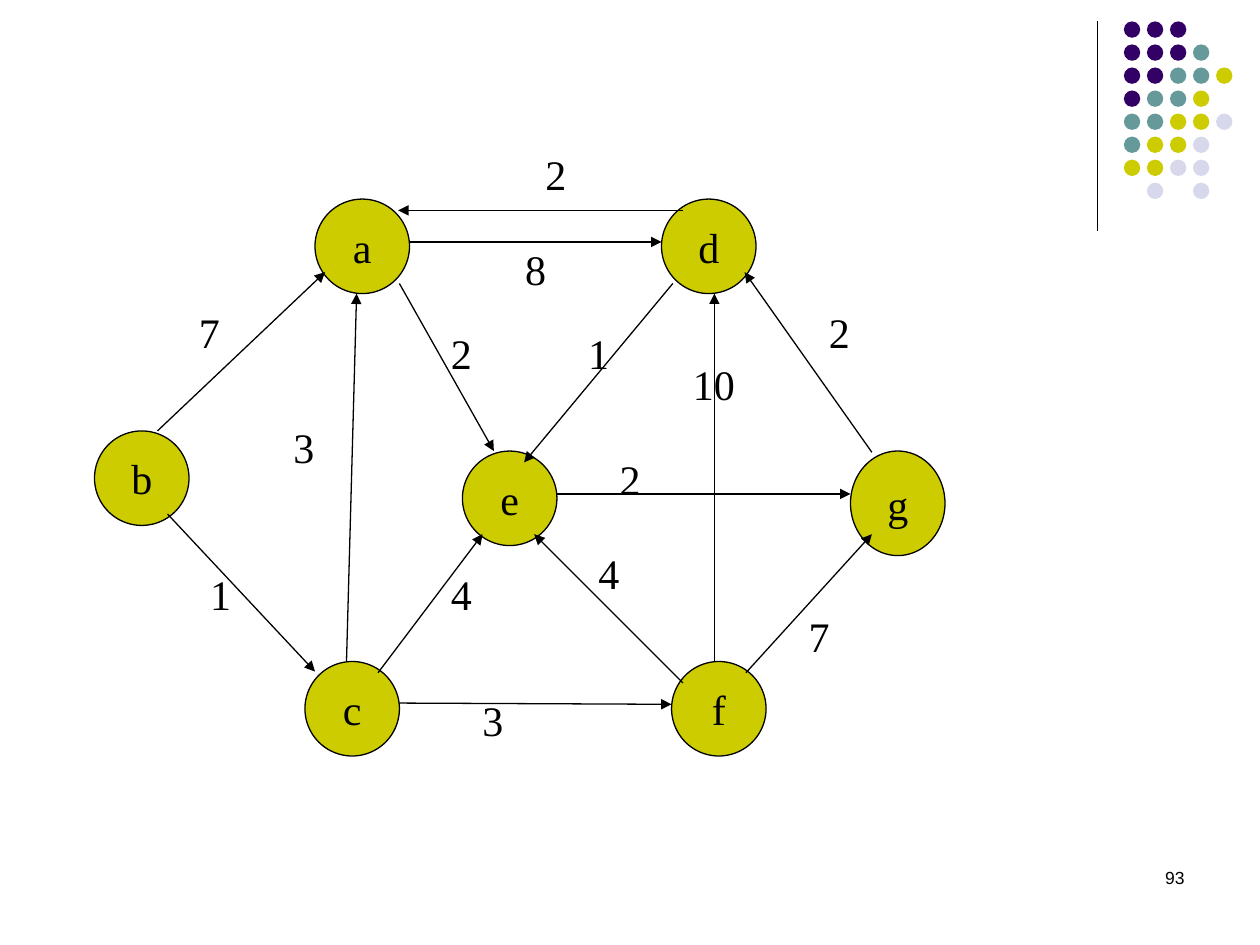
from dataclasses import dataclass

from lxml.etree import SubElement
from pptx import Presentation
from pptx.dml.color import RGBColor
from pptx.enum.shapes import MSO_CONNECTOR, MSO_SHAPE
from pptx.enum.text import MSO_ANCHOR, MSO_AUTO_SIZE, PP_ALIGN
from pptx.oxml.ns import qn
from pptx.util import Inches, Pt

COLORS = {
    "ink": "000000",
    "paper": "FFFFFF",
    "P": "330066",
    "T": "669999",
    "Y": "CCCC00",
    "L": "D8D8EC",
}
DOTS = ["PPP", "PPPT", "PPTTY", "PTTY", "TTYYL", "TYYL", "YYLL", " L L"]
STEP = 1.28 / 7


@dataclass
class Node:
    name: str
    x: float
    y: float
    high: float = 0.75


@dataclass
class Edge:
    start: tuple[float, float]
    end: tuple[float, float]
    weight: str
    label: tuple[float, float]
    wide: float = 0.36


NODES = [
    Node("b", 0.75, 3.42),
    Node("e", 3.67, 3.58),
    Node("c", 2.42, 5.25),
    Node("a", 2.5, 1.58),
    Node("f", 5.33, 5.25),
    Node("d", 5.25, 1.58),
    Node("g", 6.75, 3.58, 0.83),
]

EDGES = [
    Edge((1.33, 4.08), (2.5, 5.33), "1", (1.57, 4.46)),
    Edge((3, 5.34), (3.83, 4.24), "4", (3.48, 4.46)),
    Edge((2.75, 5.25), (2.83, 2.33), "3", (2.23, 3.3)),
    Edge((3.17, 5.58), (5.33, 5.59), "3", (3.73, 5.46)),
    Edge((5.67, 5.25), (5.67, 2.33), "10", (5.4, 2.8), 0.53),
    Edge((3.25, 1.92), (5.25, 1.92), "8", (4.07, 1.88)),
    Edge((3.17, 2.25), (3.92, 3.58), "2", (3.48, 2.55)),
    Edge((5.34, 2.25), (4.16, 3.67), "1", (4.57, 2.55)),
    Edge((5.42, 5.42), (4.24, 4.24), "4", (4.65, 4.3)),
    Edge((4.42, 3.92), (6.75, 3.92), "2", (4.82, 3.55)),
    Edge((6.92, 3.59), (5.91, 2.16), "2", (6.48, 2.38)),
    Edge((5.92, 5.34), (6.92, 4.24), "7", (6.32, 4.8)),
    Edge((5.42, 1.67), (3.16, 1.67), "2", (4.23, 1.13)),
    Edge((1.25, 3.42), (2.58, 2.16), "7", (1.48, 2.38)),
]


def color(key: str) -> RGBColor:
    return RGBColor.from_string(COLORS[key])


def write(shape, text: str, *, font="Times New Roman", size=24,
          align=PP_ALIGN.LEFT, anchor=MSO_ANCHOR.TOP, wrap=False, grow=False):
    frame = shape.text_frame
    frame.word_wrap = wrap
    frame.vertical_anchor = anchor
    if grow:
        frame.auto_size = MSO_AUTO_SIZE.SHAPE_TO_FIT_TEXT
    para = frame.paragraphs[0]
    para.alignment = align
    run = para.add_run()
    run.text = text
    run.font.name = font
    run.font.size = Pt(size)
    run.font.color.rgb = color("ink")


def add_text(slide, x: float, y: float, wide: float, high: float,
             text: str, **style):
    box = slide.shapes.add_textbox(
        Inches(x), Inches(y), Inches(wide), Inches(high))
    write(box, text, **style)


def add_oval(slide, x: float, y: float, wide: float, high: float, fill: str):
    oval = slide.shapes.add_shape(
        MSO_SHAPE.OVAL, Inches(x), Inches(y), Inches(wide), Inches(high))
    oval.shadow.inherit = False
    oval.fill.solid()
    oval.fill.fore_color.rgb = color(fill)
    oval.line.fill.background()
    return oval


def add_line(slide, start: tuple[float, float], end: tuple[float, float],
             arrow: bool = False):
    line = slide.shapes.add_connector(
        MSO_CONNECTOR.STRAIGHT, *(Inches(v) for v in (*start, *end)))
    line.line.color.rgb = color("ink")
    line.line.width = Pt(0.75)
    if arrow:
        SubElement(line.line._get_or_add_ln(), qn("a:tailEnd"),
                   type="triangle", w="med", len="med")
    SubElement(line._element.spPr, qn("a:effectLst"))


def add_dots(slide):
    for row, keys in enumerate(DOTS):
        for col, key in enumerate(keys):
            if key != " ":
                add_oval(slide, 8.92 + col * STEP, 0.17 + row * STEP,
                         0.13, 0.13, key)


def add_node(slide, node: Node):
    oval = add_oval(slide, node.x, node.y, 0.75, node.high, "Y")
    oval.line.color.rgb = color("ink")
    oval.line.width = Pt(0.75)
    write(oval, node.name, align=PP_ALIGN.CENTER, anchor=MSO_ANCHOR.MIDDLE)


def main():
    deck = Presentation()
    deck.slide_width, deck.slide_height = Inches(10), Inches(7.5)
    slide = deck.slides.add_slide(deck.slide_layouts[6])
    slide.background.fill.solid()
    slide.background.fill.fore_color.rgb = color("paper")

    add_line(slide, (8.71, 0.17), (8.71, 1.83))
    add_dots(slide)
    add_text(slide, 7.17, 6.83, 2.33, 0.49, "93", font="Arial", size=10,
             align=PP_ALIGN.RIGHT, wrap=True)
    for node in NODES:
        add_node(slide, node)
    for edge in EDGES:
        add_line(slide, edge.start, edge.end, arrow=True)
    for edge in EDGES:
        add_text(slide, *edge.label, edge.wide, 0.5, edge.weight, grow=True)

    deck.save("out.pptx")


if __name__ == "__main__":
    main()
